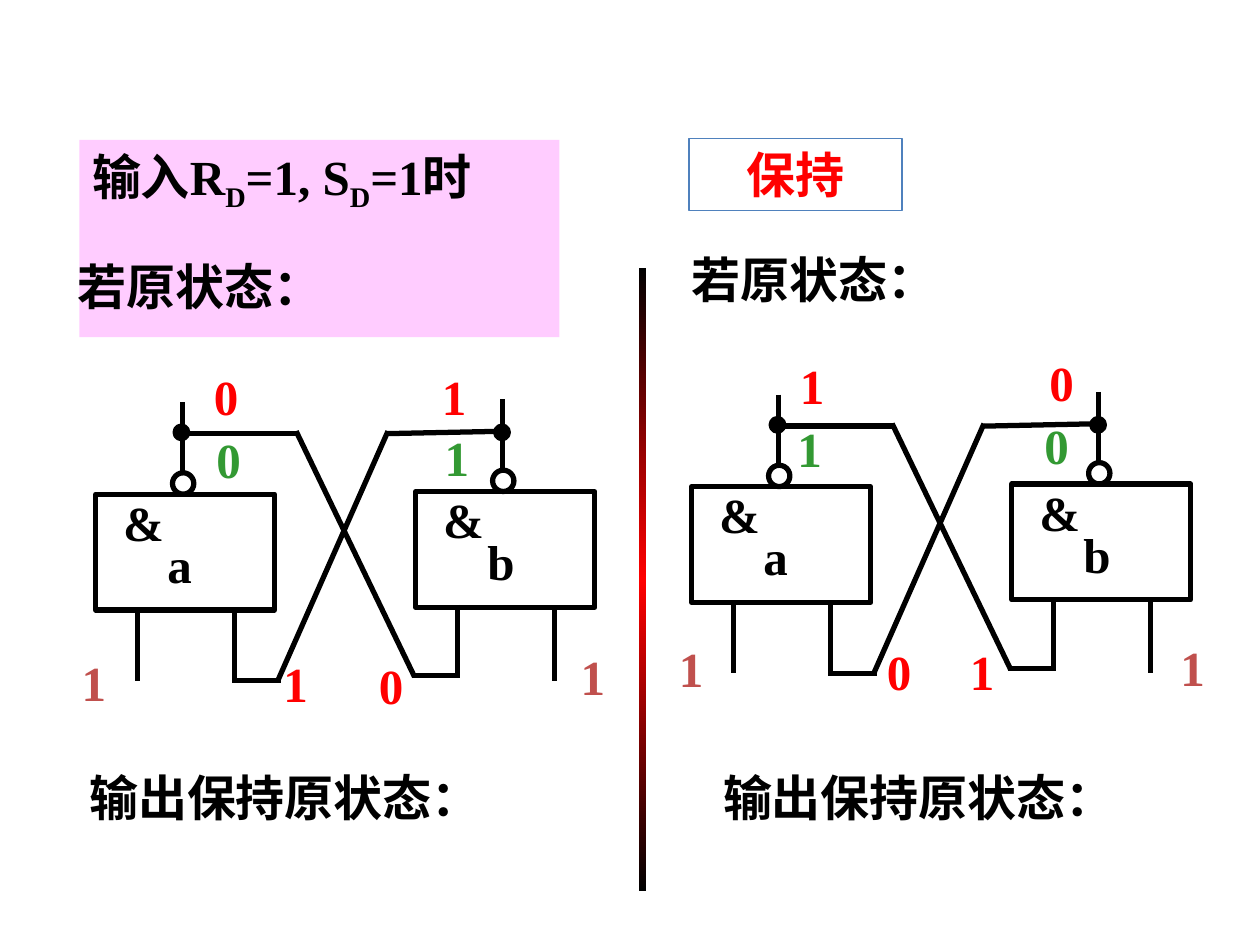
from copy import deepcopy

from pptx import Presentation
from pptx.dml.color import RGBColor
from pptx.enum.shapes import MSO_CONNECTOR as Line, MSO_SHAPE as Shape
from pptx.enum.text import MSO_ANCHOR as Anchor, MSO_AUTO_SIZE as AutoSize, PP_ALIGN as Align
from pptx.oxml.ns import qn
from pptx.oxml.xmlchemy import OxmlElement
from pptx.util import Pt

BLACK = RGBColor(0, 0, 0)
RED = RGBColor(0xFF, 0, 0)
GREEN = RGBColor(0x33, 0x99, 0x33)
BROWN = RGBColor(0xC0, 0x50, 0x4D)
PINK = RGBColor(0xFF, 0xCC, 0xFF)
BLUE = RGBColor(0x4F, 0x81, 0xBD)
FONT, SIZE, TEXT_HEIGHT = "Times New Roman", 28, 41

# Runs: (text, is subscript)
TITLE = [("输入R", False), ("D", True), ("=1, S", False), ("D", True), ("=1时", False)]
VERDICT = "保持"

# Text, left, top, width
CAPTIONS = [
    ("若原状态：", 37.4, 143.3, 151.2),
    ("若原状态：", 388.1, 139, 151.2),
    ("输出保持原状态：", 43.9, 434.9, 316.8),
    ("输出保持原状态：", 406.1, 434.9, 316.8),
]

# Text, colour, left, top, width
SIGNALS = [
    ("1", RED, 245.5, 205.9, 43.2),
    ("0", RED, 115.2, 205.9, 43.2),
    ("1", BROWN, 39.6, 369.4, 37.4),
    ("1", BROWN, 324.7, 365.8, 37.4),
    ("1", RED, 154.8, 370.1, 43.2),
    ("0", GREEN, 116.6, 241.9, 43.2),
    ("0", RED, 209.5, 370.8, 31.7),
    ("1", GREEN, 247, 240.5, 33.1),
    ("0", RED, 592.6, 198, 41.8),
    ("1", RED, 450, 199.4, 41.8),
    ("1", BROWN, 380.9, 361.4, 37.4),
    ("1", BROWN, 667.4, 360.7, 37.4),
    ("0", RED, 499.7, 362.9, 31.7),
    ("1", GREEN, 448.6, 235.4, 37.4),
    ("1", RED, 547.2, 362.9, 33.8),
    ("0", GREEN, 589.7, 234, 41.8),
]

# Top left corner of gate a in each latch; the rest is measured from there
LATCHES = [(54.7, 282.4), (395.3, 278.1)]
GATES = [("a", 0, 0), ("b", 182.9, -1.5)]
GATE_SIZE = (102.2, 66.2)
PINS = [(23.8, 64.8, 106.6), (79.2, 66.2, 108), (49.7, -52.6, -10.8)]  # x, top, bottom
WIRES = [
    (49, -34.6, 115.9, -34.6),
    (167, -34.6, 234.7, -36),
    (180.7, 103.7, 207.4, 103.7),
    (78.5, 106.6, 105.8, 106.6),
    (167, -36, 104.4, 105.8),
    (114.5, -36, 182.2, 104.4),
]
DOTS = [(45.4, -38.9), (228.6, -38.9)]
BUBBLE, DOT = 12.2, 7.2


def add_span(para, text, color, subscript=False):
    span = para.add_run()
    span.text = text
    span.font.name, span.font.size, span.font.bold = FONT, Pt(SIZE), True
    span.font.color.rgb = color
    if subscript:
        span._r.get_or_add_rPr().set("baseline", "-25000")


def prepare_frame(box, align=Align.LEFT):
    """Set up the text frame and return its first paragraph."""
    frame = box.text_frame
    frame.word_wrap = True
    frame.auto_size = AutoSize.SHAPE_TO_FIT_TEXT
    frame.vertical_anchor = Anchor.TOP
    para = frame.paragraphs[0]
    para.alignment = align
    return para


def add_label(shapes, text, color, left, top, width):
    box = shapes.add_textbox(Pt(left), Pt(top), Pt(width), Pt(TEXT_HEIGHT))
    add_span(prepare_frame(box), text, color)


def add_outline(shapes, kind, left, top, width, height, line=BLACK, weight=3, fill=None):
    shape = shapes.add_shape(kind, Pt(left), Pt(top), Pt(width), Pt(height))
    shape.shadow.inherit = False
    shape.line.color.rgb = line
    shape.line.width = Pt(weight)
    if fill is None:
        shape.fill.background()
    else:
        shape.fill.solid()
        shape.fill.fore_color.rgb = fill
    return shape


def add_wire(shapes, x1, y1, x2, y2):
    wire = shapes.add_connector(Line.STRAIGHT, Pt(x1), Pt(y1), Pt(x2), Pt(y2))
    wire.line.color.rgb = BLACK
    wire.line.width = Pt(3)
    wire._element.spPr.append(OxmlElement("a:effectLst"))


def add_gate(shapes, name, x, y):
    add_outline(shapes, Shape.RECTANGLE, x, y, *GATE_SIZE)
    add_outline(shapes, Shape.OVAL, x + 43.9, y - BUBBLE, BUBBLE, BUBBLE)
    for pin, top, bottom in PINS:
        add_wire(shapes, x + pin, y + top, x + pin, y + bottom)
    add_label(shapes, "&", BLACK, x + 8.6, y - 4.5, 72)
    add_label(shapes, name, BLACK, x + 33.8, y + 19.4, 51.1)


def add_latch(page, x, y):
    shapes = page.shapes.add_group_shape().shapes
    for name, dx, dy in GATES:
        add_gate(shapes, name, x + dx, y + dy)
    for x1, y1, x2, y2 in WIRES:
        add_wire(shapes, x + x1, y + y1, x + x2, y + y2)
    for dx, dy in DOTS:
        add_outline(shapes, Shape.OVAL, x + dx, y + dy, DOT, DOT, fill=BLACK)


def add_title(page):
    title = page.shapes.title
    title.left, title.top, title.width, title.height = Pt(45.4), Pt(79.9), Pt(274.3), Pt(TEXT_HEIGHT)
    title.fill.solid()
    title.fill.fore_color.rgb = PINK
    para = prepare_frame(title)
    for text, subscript in TITLE:
        add_span(para, text, BLACK, subscript)


def add_divider(page):
    bar = page.shapes.add_shape(Shape.RECTANGLE, Pt(365), Pt(153.4), Pt(4.3), Pt(355.7))
    bar.shadow.inherit = False
    bar.line.fill.background()
    bar.fill.gradient()
    bar.fill.gradient_angle = 90
    stop_list = bar._element.spPr.find(".//" + qn("a:gsLst"))
    stop_list.append(deepcopy(stop_list[0]))
    for stop, position, color in zip(bar.fill.gradient_stops, (0, 0.5, 1), (BLACK, RED, BLACK)):
        stop.position = position
        stop.color.rgb = color


def main():
    deck = Presentation()
    deck.slide_width, deck.slide_height = Pt(720), Pt(540)
    page = deck.slides.add_slide(deck.slide_layouts[5])
    add_title(page)
    for signal in SIGNALS:
        add_label(page.shapes, *signal)
    for text, *place in CAPTIONS:
        add_label(page.shapes, text, BLACK, *place)
    for corner in LATCHES:
        add_latch(page, *corner)
    add_divider(page)
    verdict = add_outline(page.shapes, Shape.RECTANGLE, 393.8, 79.2, 121.7, TEXT_HEIGHT, BLUE, 0.75)
    add_span(prepare_frame(verdict, Align.CENTER), VERDICT, RED)
    deck.save("out.pptx")


if __name__ == "__main__":
    main()
